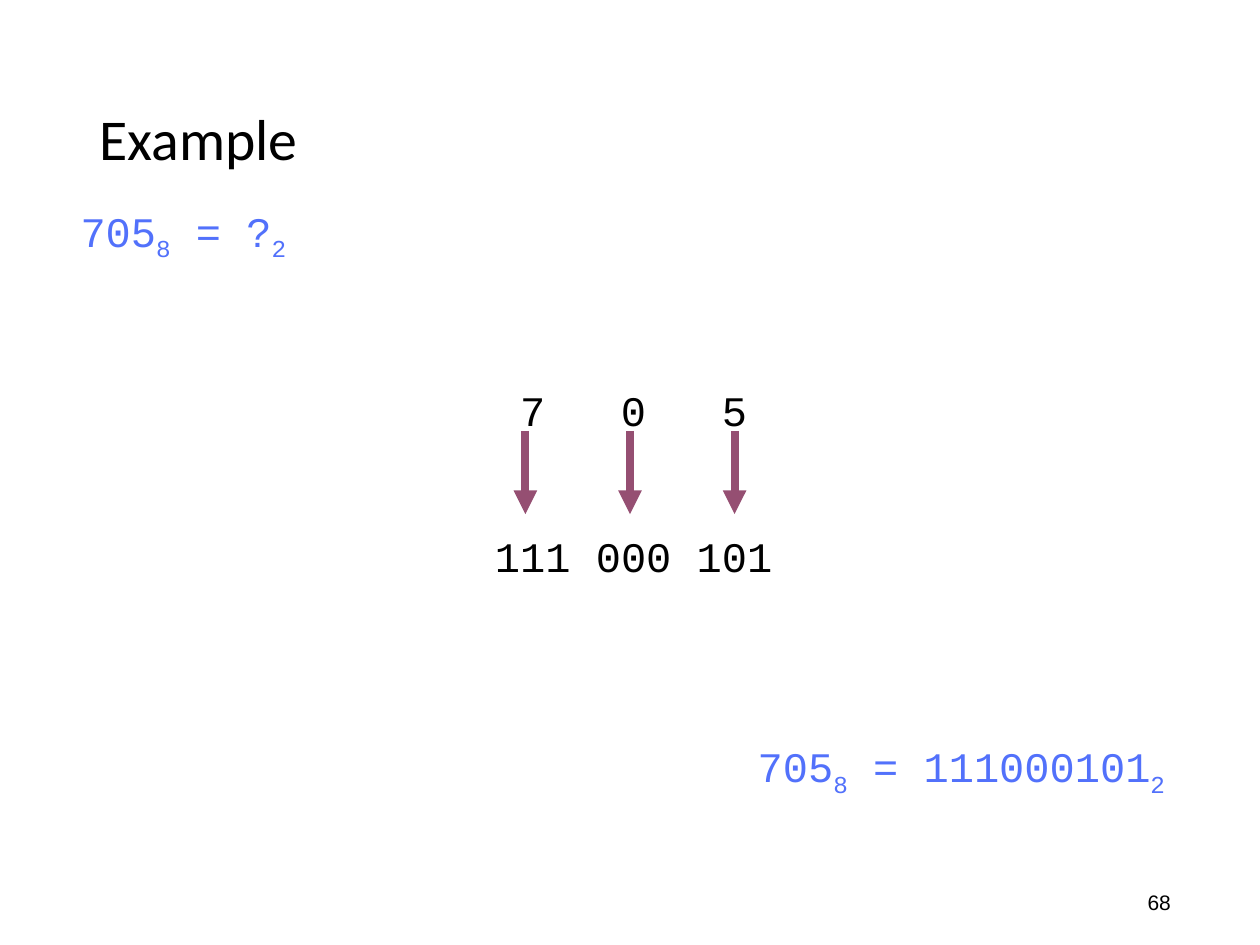
"""Build the octal to binary example slide."""
from typing import NamedTuple

import pptx
import pptx.dml.color
import pptx.enum.shapes
import pptx.enum.text
import pptx.oxml
import pptx.oxml.ns
import pptx.util
from pptx.util import Inches

RGBColor = pptx.dml.color.RGBColor
Align = pptx.enum.text.PP_ALIGN
BLACK = RGBColor(0x00, 0x00, 0x00)
BLUE = RGBColor(0x52, 0x71, 0xFB)
PLUM = RGBColor(0x95, 0x4F, 0x72)
CODE = "Courier New"
NS = pptx.oxml.ns.nsdecls("a")


class Box(NamedTuple):
    left: float
    top: float
    width: float
    height: float


class Sum(NamedTuple):
    box: Box
    value: str


SUMS = [
    Sum(Box(0.33, 1.5, 2.25, 0.5), "?"),
    Sum(Box(5.67, 5.75, 3.92, 0.5), "111000101"),
]


def add_run(para, text: str, size: float, face: str, color: RGBColor, sub: bool = False) -> None:
    run = para.add_run()
    run.text = text
    run.font.size = pptx.util.Pt(size)
    run.font.name = face
    run.font.color.rgb = color
    if sub:
        run.font._element.set("baseline", "-25000")


def add_box(shapes, box: Box, top: float = 0.13, wrap: bool = True):
    frame = shapes.add_textbox(*map(Inches, box)).text_frame
    frame.word_wrap = wrap
    frame.margin_top = Inches(top)
    return frame


def add_sum(shapes, item: Sum) -> None:
    para = add_box(shapes, item.box).paragraphs[0]
    para.alignment = Align.CENTER
    for text, sub in (("705", False), ("8", True), (f" = {item.value}", False), ("2", True)):
        add_run(para, text, 24, CODE, BLUE, sub)


def add_tabs(para, stops: list[float]) -> None:
    tabs = "".join(f'<a:tab pos="{Inches(stop)}" algn="ctr"/>' for stop in stops)
    props = para._p.get_or_add_pPr()
    props.append(pptx.oxml.parse_xml(f"<a:tabLst {NS}>{tabs}</a:tabLst>"))


def add_arrow(shapes, x: float, top: float, end: float) -> None:
    kind = pptx.enum.shapes.MSO_CONNECTOR.STRAIGHT
    arrow = shapes.add_connector(kind, Inches(x), Inches(top), Inches(x), Inches(end))
    arrow.line.color.rgb = PLUM
    arrow.line.width = pptx.util.Pt(4.5)
    arrow.line._get_or_add_ln().append(pptx.oxml.parse_xml(f'<a:tailEnd {NS} type="triangle"/>'))
    arrow._element.spPr.append(pptx.oxml.parse_xml(f"<a:effectLst {NS}/>"))


def add_digits(shapes) -> None:
    frame = add_box(shapes, Box(3.83, 2.92, 2.92, 1.7))
    top = frame.paragraphs[0]
    add_tabs(top, [0.3 + 0.8 * col for col in range(3)])
    add_run(top, "\t7\t0\t5", 24, CODE, BLACK)
    low = frame.add_paragraph()
    low.space_before = pptx.util.Pt(54.5)
    add_run(low, "111 000 101", 24, CODE, BLACK)
    for col in range(3):
        add_arrow(shapes, 4.17 + 0.83 * col, 3.42, 4.08)


def add_title(title) -> None:
    box = Box(0.69, 0.4, 8.62, 1.45)
    title.left, title.top, title.width, title.height = map(Inches, box)
    frame = title.text_frame
    frame.vertical_anchor = pptx.enum.text.MSO_ANCHOR.MIDDLE
    para = frame.paragraphs[0]
    para.alignment = Align.LEFT
    para.line_spacing = 0.9
    add_run(para, "Example", 33, "Calibri", BLACK)


def main() -> None:
    deck = pptx.Presentation()
    deck.slide_width, deck.slide_height = Inches(10), Inches(7.5)
    slide = deck.slides.add_slide(deck.slide_layouts[5])
    shapes = slide.shapes
    add_title(shapes.title)
    add_sum(shapes, SUMS[0])
    add_digits(shapes.add_group_shape().shapes)
    add_sum(shapes, SUMS[1])
    page = add_box(shapes, Box(9.01, 7.01, 0.4, 0.3), 0.05, False)
    add_run(page.paragraphs[0], "68", 12, "Arial", BLACK)
    deck.save("out.pptx")


if __name__ == "__main__":
    main()
